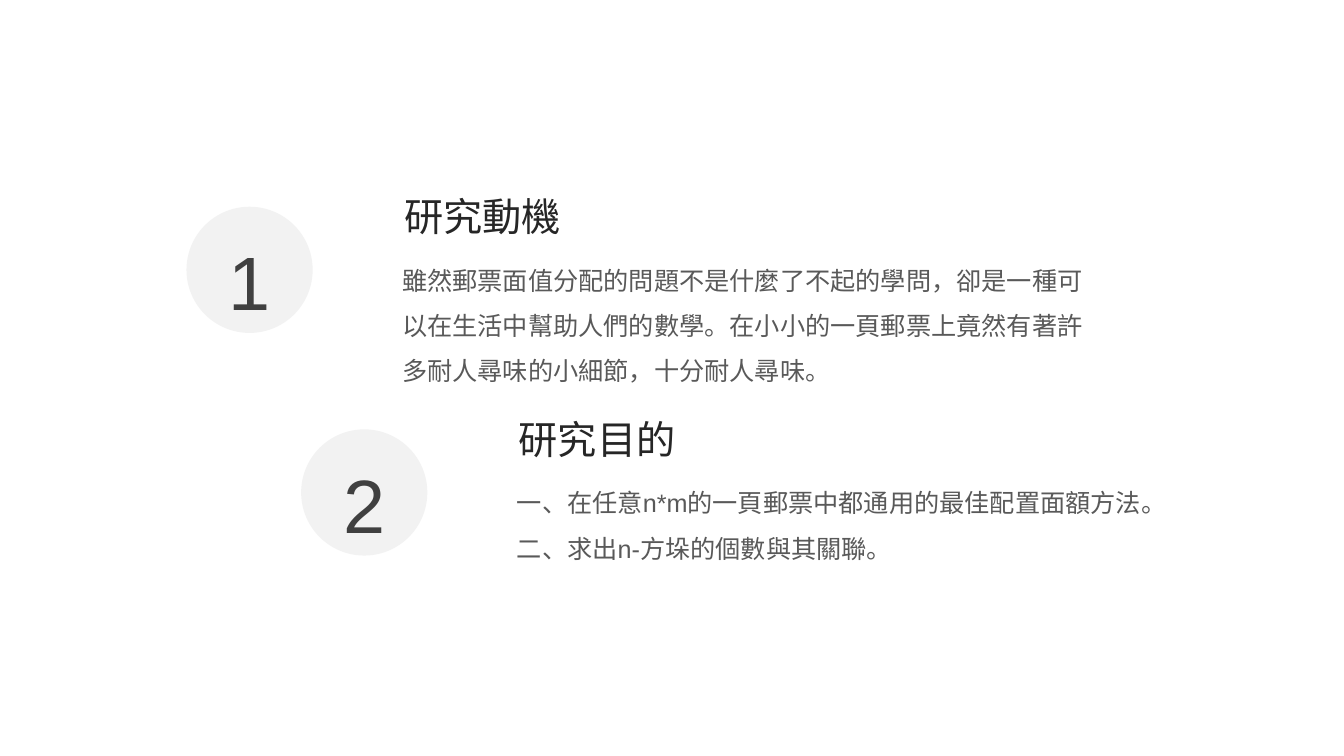
from dataclasses import dataclass

from pptx import Presentation
from pptx.dml.color import RGBColor as Rgb
from pptx.enum.shapes import MSO_SHAPE as Kind
from pptx.enum.text import MSO_ANCHOR as Anchor, MSO_AUTO_SIZE as Fit, PP_ALIGN as Align
from pptx.oxml.xmlchemy import OxmlElement as Element
from pptx.shapes.base import BaseShape as Shape
from pptx.slide import Slide
from pptx.util import Cm, Pt


@dataclass(frozen=True)
class Theme:
    font: str = "Arial"
    disc: Rgb = Rgb(0xF2, 0xF2, 0xF2)
    digit: Rgb = Rgb(0x40, 0x40, 0x40)
    head: Rgb = Rgb(0x26, 0x26, 0x26)
    body: Rgb = Rgb(0x59, 0x59, 0x59)
    digit_size: int = 54
    head_size: int = 28
    body_size: int = 18


@dataclass(frozen=True)
class Topic:
    head: str
    lines: tuple[str, ...]
    head_slot: int
    body_slot: int
    width: float
    height: float


THEME = Theme()
STEP_X, STEP_Y = 2.89, 5.61  # shift from one topic to the next, cm
TOPICS = (
    Topic("研究動機",
          ("雖然郵票面值分配的問題不是什麼了不起的學問，卻是一種可以在生活中幫助人們的數學。"
           "在小小的一頁郵票上竟然有著許多耐人尋味的小細節，十分耐人尋味。",),
          0, 2, 17.68, 3.71),
    Topic("研究目的",
          ("一、在任意n*m的一頁郵票中都通用的最佳配置面額方法。",
           "二、求出n-方垛的個數與其關聯。"),
          3, 4, 17.88, 2.57),
)


def place(shape: Shape, x: float, y: float, w: float, h: float) -> None:
    shape.left, shape.top, shape.width, shape.height = Cm(x), Cm(y), Cm(w), Cm(h)


def write(shape: Shape, lines: tuple[str, ...], size: int, color: Rgb,
          align: Align = Align.LEFT, space: float = 1.0) -> None:
    frame = shape.text_frame
    frame.word_wrap = True
    frame.auto_size = Fit.NONE
    frame.vertical_anchor = Anchor.TOP
    for i, line in enumerate(lines):
        para = frame.add_paragraph() if i else frame.paragraphs[0]
        para.alignment = align
        para.line_spacing = space
        para.space_before = Pt(0)
        # Plain lines: no bullet, no hanging indent
        props = para._p.get_or_add_pPr()
        props.set("marL", "0")
        props.set("indent", "0")
        props.append(Element("a:buNone"))
        run = para.add_run()
        run.text = line
        run.font.name = THEME.font
        run.font.size = Pt(size)
        run.font.bold = False
        run.font.color.rgb = color


def draw_disc(slide: Slide, x: float, y: float) -> None:
    disc = slide.shapes.add_shape(Kind.OVAL, Cm(x), Cm(y), Cm(3.18), Cm(3.18))
    disc.shadow.inherit = False
    disc.fill.solid()
    disc.fill.fore_color.rgb = THEME.disc
    disc.line.fill.background()


def draw_topic(slide: Slide, rank: int, topic: Topic) -> None:
    dx, dy = rank * STEP_X, rank * STEP_Y
    slots = {s.placeholder_format.idx: s for s in slide.placeholders}

    # Number on its disc
    draw_disc(slide, 4.7 + dx, 5.21 + dy)
    digit = slide.shapes.add_textbox(Cm(1.27 + dx), Cm(4.65 + dy), Cm(10.06), Cm(3.71))
    write(digit, (str(rank + 1),), THEME.digit_size, THEME.digit, Align.CENTER, 1.5)

    # Heading and text
    head, body = slots[topic.head_slot], slots[topic.body_slot]
    place(head, 9.93 + dx, 4.72 + dy, 7.49, 1.45)
    write(head, (topic.head,), THEME.head_size, THEME.head)
    place(body, 9.88 + dx, 6.17 + dy, topic.width, topic.height)
    write(body, topic.lines, THEME.body_size, THEME.body, space=1.5)


def main() -> None:
    deck = Presentation()
    deck.slide_width, deck.slide_height = Cm(33.87), Cm(19.05)
    slide = deck.slides.add_slide(deck.slide_layouts.get_by_name("Comparison"))
    for rank, topic in enumerate(TOPICS):
        draw_topic(slide, rank, topic)

    # Drop the unused slots
    for slot in list(slide.placeholders):
        if not slot.text_frame.text:
            slot._element.getparent().remove(slot._element)
    deck.save("out.pptx")


if __name__ == "__main__":
    main()
